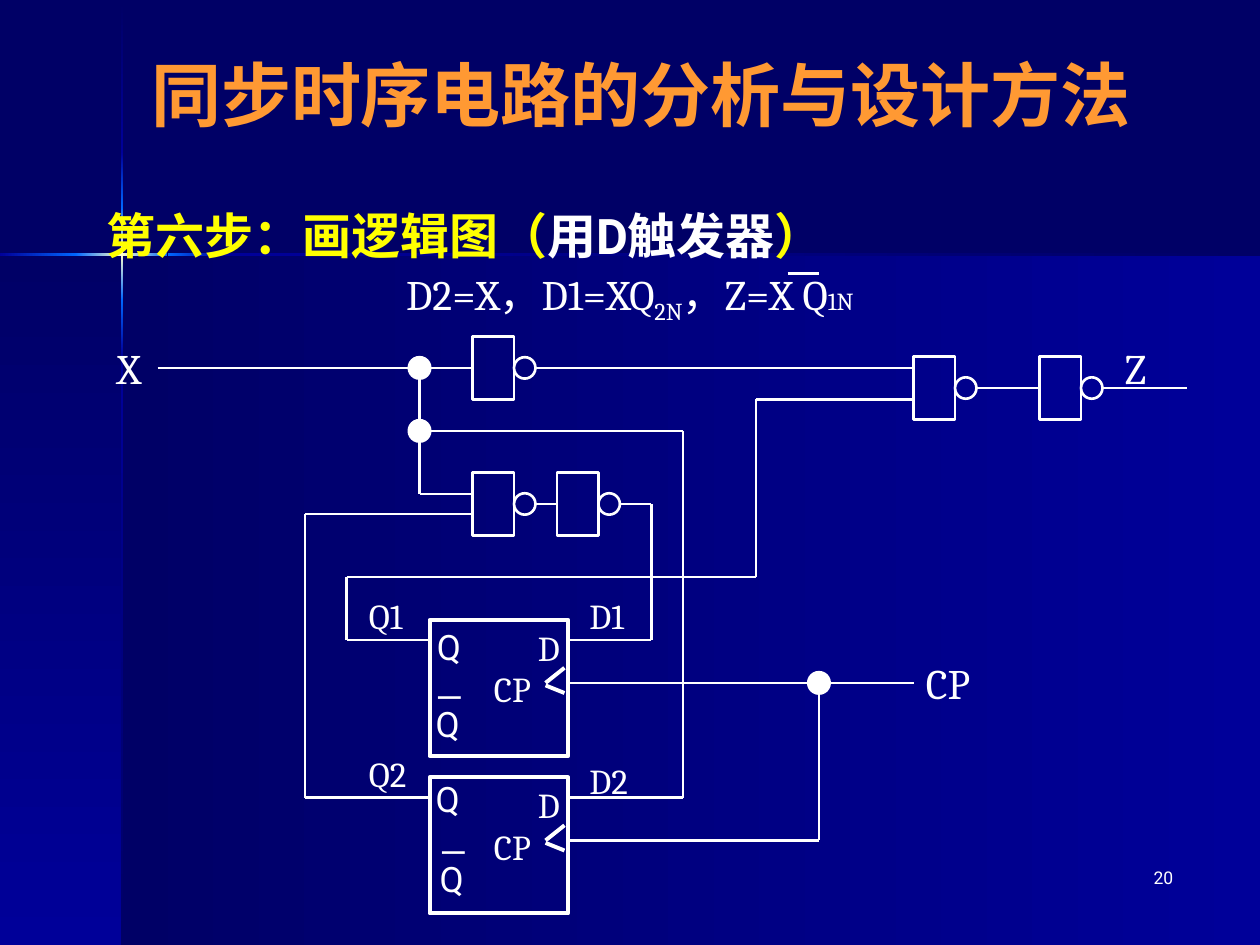
from copy import deepcopy
from itertools import pairwise

from pptx import Presentation
from pptx.dml.color import RGBColor
from pptx.enum.shapes import MSO_CONNECTOR as Connector, MSO_SHAPE as Shape
from pptx.enum.text import MSO_ANCHOR as Anchor, PP_ALIGN as Align
from pptx.oxml.ns import qn
from pptx.util import Inches, Pt

WHITE, YELLOW, ORANGE = "FFFFFF", "FFFF00", "FF9933"
NIGHT, NAVY, BLUE, CREAM = "000066", "000099", "0066FF", "FFFFCC"
SANS, SERIF = "Roboto", "Cambria"


def color(hex_value):
    return RGBColor.from_string(hex_value)


class CircuitSlide:
    thin, thick = 1.5, 2.25
    dot_size = 0.17
    gate_width, gate_height = 0.33, 0.5

    def __init__(self, prs):
        self.slide = prs.slides.add_slide(prs.slide_layouts[5])
        self.shapes = self.slide.shapes
        background = self.slide.background.fill
        background.solid()
        background.fore_color.rgb = color(NIGHT)

    def style(self, paragraph, size, font, tint, bold=False):
        paragraph.font.size = Pt(size)
        paragraph.font.name = font
        paragraph.font.bold = bold
        paragraph.font.color.rgb = color(tint)

    def title(self, text, left, top, width, height):
        heading = self.shapes.title
        heading.left, heading.top = Inches(left), Inches(top)
        heading.width, heading.height = Inches(width), Inches(height)
        heading.text_frame.text = text
        heading.text_frame.vertical_anchor = Anchor.MIDDLE
        paragraph = heading.text_frame.paragraphs[0]
        paragraph.alignment = Align.CENTER
        self.style(paragraph, 40, SANS, ORANGE, bold=True)

    def text(self, content, left, top, width=0.56, height=0.43, size=20, font=SERIF,
             tint=WHITE, bold=False, align=Align.LEFT, spacing=None, side_inset=0.1):
        box = self.shapes.add_textbox(*map(Inches, (left, top, width, height)))
        frame = box.text_frame
        frame.word_wrap = True
        frame.margin_left = frame.margin_right = Inches(side_inset)
        frame.text = content
        for paragraph in frame.paragraphs:
            paragraph.alignment = align
            if spacing:
                paragraph.line_spacing = Pt(spacing)
            self.style(paragraph, size, font, tint, bold)
        return frame.paragraphs[0]

    def run(self, paragraph, content, tint=None, size=None, baseline=None):
        run = paragraph.add_run()
        run.text = content
        if tint:
            run.font.color.rgb = color(tint)
        if size:
            run.font.size = Pt(size)
        if baseline:
            run.font._element.set("baseline", str(baseline * 1000))

    def band(self, left, top, width, height, angle, *tints):
        band = self.shapes.add_shape(Shape.RECTANGLE, *map(Inches, (left, top, width, height)))
        band.shadow.inherit = False
        band.line.fill.background()
        band.fill.gradient()
        band.fill.gradient_angle = -angle % 360
        stop_list = band._element.spPr.find(qn("a:gradFill")).find(qn("a:gsLst"))
        for _ in tints[2:]:
            stop_list.insert(1, deepcopy(stop_list[0]))
        for index, (stop, tint) in enumerate(zip(band.fill.gradient_stops, tints)):
            stop.color.rgb = color(tint)
            stop.position = index / (len(tints) - 1)

    def outline(self, kind, left, top, width, height, weight=thin, filled=False):
        outline = self.shapes.add_shape(kind, *map(Inches, (left, top, width, height)))
        outline.shadow.inherit = False
        outline.line.color.rgb = color(WHITE)
        outline.line.width = Pt(weight)
        if filled:
            outline.fill.solid()
            outline.fill.fore_color.rgb = color(WHITE)
        else:
            outline.fill.background()

    def wire(self, *points, weight=thin):
        for start, end in pairwise(points):
            line = self.shapes.add_connector(Connector.STRAIGHT, *map(Inches, start + end))
            line.line.color.rgb = color(WHITE)
            line.line.width = Pt(weight)
            properties = line._element.spPr
            properties.append(properties.makeelement(qn("a:effectLst"), {}))

    def junction(self, x, y):
        radius = self.dot_size / 2
        self.outline(Shape.OVAL, x - radius, y - radius, self.dot_size, self.dot_size, filled=True)

    def gate(self, left, middle):
        self.outline(Shape.RECTANGLE, left, middle - self.gate_height / 2,
                     self.gate_width, self.gate_height)
        self.outline(Shape.OVAL, left + self.gate_width, middle - self.dot_size / 2,
                     self.dot_size, self.dot_size)

    def flip_flop(self, top, q_at, q_bar_at):
        self.outline(Shape.RECTANGLE, 3.41, top, 1.1, 1.08, self.thick)
        self.wire((4.48, top + 0.38), (4.33, top + 0.5), weight=self.thick)
        self.wire((4.33, top + 0.52), (4.48, top + 0.58), weight=self.thick)
        self.text("D", 4.17, top, 0.42)
        self.text("CP", 3.92, top + 0.33, 0.5, side_inset=0)
        for content, place in (("Q", q_at), ("—\nQ", q_bar_at)):
            self.text(content, *place, 0.47, 0.53, font=SANS, spacing=15)


def draw_background(page):
    page.band(0.97, 2.02, 9.03, 5.48, 0, NIGHT, NAVY)
    page.band(0, 2.02, 0.97, 5.48, 90, NIGHT, NAVY)
    for top, height, *tints in (
        (0.01, 1.2, NIGHT, NAVY), (2.82, 4.68, NAVY, NIGHT), (2.38, 0.44, BLUE, NAVY),
        (1.21, 0.44, NAVY, BLUE), (1.65, 0.73, BLUE, CREAM, BLUE),
    ):
        page.band(0.96, top, 0.02, height, 90, *tints)
    for left, width, *tints in (
        (1.77, 8.23, NAVY, NIGHT), (0, 0.61, NAVY, BLUE),
        (1.33, 0.44, BLUE, NAVY), (0.6, 0.73, BLUE, CREAM, BLUE),
    ):
        page.band(left, 2.01, width, 0.02, 0, *tints)


def draw_heading(page):
    page.title("同步时序电路的分析与设计方法", 0.5, 0.33, 9.17, 0.83)
    step = page.text("", 0.75, 1.58, 8.67, 0.6, 28, SANS, YELLOW, bold=True)
    page.run(step, "第六步：画逻辑图（")
    page.run(step, "用D触发器", tint=WHITE)
    page.run(step, "）")
    formula = page.text("", 0.75, 2.08, 8.5, 0.5, 24, align=Align.CENTER)
    page.run(formula, "D2=X，D1=XQ")
    page.run(formula, "2N", baseline=-25)
    page.run(formula, "，Z=X Q")
    page.run(formula, "1N", size=14)
    page.wire((6.25, 2.17), (6.5, 2.17))
    page.text("20", 7.33, 6.83, 2.08, 0.5, 10, SANS, align=Align.RIGHT)


def draw_circuit(page):
    page.flip_flop(4.92, (3.37, 5.04), (3.36, 5.44))
    page.flip_flop(6.17, (3.36, 6.25), (3.39, 6.67))
    for left, middle in ((3.75, 2.92), (7.25, 3.08), (8.25, 3.08), (3.75, 4), (4.42, 4)):
        page.gate(left, middle)
    for points in (
        ((1.25, 2.92), (3.75, 2.92)),
        ((4.25, 2.92), (7.25, 2.92)),
        ((7.75, 3.08), (8.25, 3.08)),
        ((8.75, 3.08), (9.42, 3.08)),
        ((3.33, 2.92), (3.33, 3.92), (3.75, 3.92)),
        ((3.33, 3.42), (5.42, 3.42), (5.42, 6.33), (4.5, 6.33)),
        ((4.25, 4), (4.42, 4)),
        ((4.92, 4), (5.17, 4), (5.17, 5.08), (4.5, 5.08)),
        ((3.42, 5.08), (2.75, 5.08), (2.75, 4.58), (6, 4.58), (6, 3.17), (7.25, 3.17)),
        ((3.42, 6.33), (2.42, 6.33), (2.42, 4.08), (3.75, 4.08)),
        ((4.5, 5.42), (7.25, 5.42)),
        ((6.5, 5.42), (6.5, 6.67), (4.5, 6.67)),
    ):
        page.wire(*points)
    for x, y in ((3.33, 2.92), (3.33, 3.42), (6.5, 5.42)):
        page.junction(x, y)
    for pin, left, top in (("Q1", 2.83, 4.67), ("D1", 4.58, 4.67),
                           ("Q2", 2.83, 5.92), ("D2", 4.58, 5.98)):
        page.text(pin, left, top)
    for signal, left, top, width in (("X", 0.83, 2.67, 0.42), ("Z", 8.83, 2.67, 0.42),
                                     ("CP", 7.25, 5.17, 0.92)):
        page.text(signal, left, top, width, 0.5, 24)


def main():
    prs = Presentation()
    prs.slide_width, prs.slide_height = Inches(10), Inches(7.5)
    page = CircuitSlide(prs)
    draw_background(page)
    draw_heading(page)
    draw_circuit(page)
    prs.save("out.pptx")


if __name__ == "__main__":
    main()
